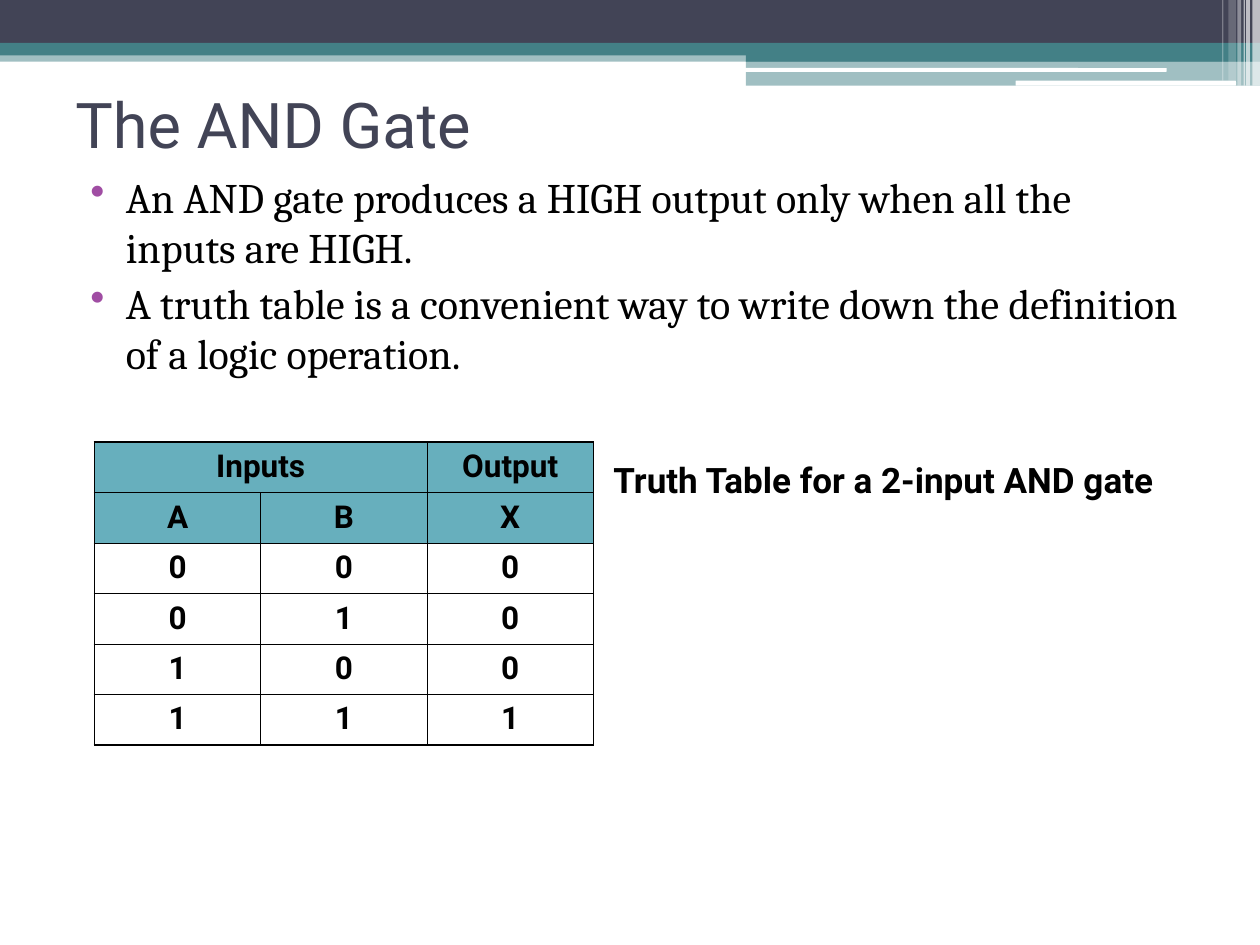
"""Build the AND gate slide with its truth table."""
from lxml.etree import SubElement
from pptx import Presentation
from pptx.dml.color import RGBColor
from pptx.enum.shapes import MSO_SHAPE as SHAPE
from pptx.enum.text import MSO_ANCHOR as ANCHOR, PP_ALIGN as ALIGN
from pptx.oxml import parse_xml
from pptx.oxml.ns import nsdecls, qn
from pptx.util import Inches, Pt

NAVY = RGBColor(0x42, 0x44, 0x56)
TEAL = RGBColor(0x43, 0x80, 0x86)
AQUA = RGBColor(0x67, 0xAF, 0xBD)
PURPLE = RGBColor(0xA0, 0x4D, 0xA3)
BLACK = RGBColor(0, 0, 0)
WHITE = RGBColor(0xFF, 0xFF, 0xFF)

prs = Presentation()
prs.slide_width, prs.slide_height = Inches(10), Inches(7.5)
COL, ROW = prs.slide_width / 100, prs.slide_height / 75
s = prs.slides.add_slide(prs.slide_layouts[6])


def grid(x, y, w, h):
    return int(x * COL), int(y * ROW), int(w * COL), int(h * ROW)


def write(box, lines, font, size, color, bold=False):
    tf = s.shapes.add_textbox(*grid(*box)).text_frame
    tf.word_wrap = True
    tf.text = "\n".join(lines)
    for p in tf.paragraphs:
        for r in p.runs:
            r.font.name, r.font.size, r.font.bold = font, Pt(size), bold
            r.font.color.rgb = color
    return tf


BANDS = [
    (SHAPE.RECTANGLE, (0, 4, 100, 0.9), TEAL, 50),
    (SHAPE.RECTANGLE, (0, 0, 100, 3.4), NAVY, 100),
    (SHAPE.RECTANGLE, (0, 3.4, 100, 1), TEAL, 100),
    (SHAPE.RECTANGLE, (59.2, 3.9, 40.8, 1), TEAL, 100),
    (SHAPE.RECTANGLE, (59.2, 4.8, 40.8, 2), TEAL, 50),
    (SHAPE.ROUNDED_RECTANGLE, (59.1, 5.4, 33.5, 0.3), WHITE, 100),
    (SHAPE.ROUNDED_RECTANGLE, (80.6, 6.4, 17.5, 0.4), WHITE, 100),
]
STRIPES = [(99.4, 0.6, 6.8, 65), (98.9, 0.3, 6.8, 65), (98.7, 0.1, 6.8, 60),
           (98.2, 0.3, 6.8, 40), (97.5, 0.6, 6.4, 20), (97, 0.1, 6.4, 30)]
BANDS += [(SHAPE.RECTANGLE, (x, 0, w, h), WHITE, alpha) for x, w, h, alpha in STRIPES]

for kind, box, color, alpha in BANDS:
    sp = s.shapes.add_shape(kind, *grid(*box))
    sp.shadow.inherit = False
    sp.line.fill.background()
    sp.fill.solid()
    sp.fill.fore_color.rgb = color
    if alpha < 100:
        rgb = sp.fill._xPr.find(".//" + qn("a:srgbClr"))
        SubElement(rgb, qn("a:alpha"), val=str(alpha * 1000))

tf = write((5, 3.9, 90, 11.7), ["The AND Gate"], "Roboto", 36, NAVY)
tf.vertical_anchor = ANCHOR.MIDDLE

tf = write((5, 13.1, 90, 22.8), [
    "An AND gate produces a HIGH output only when all the inputs are HIGH.",
    "A truth table is a convenient way to write down the definition of a logic operation.",
], "Cambria", 24, BLACK)
for i, p in enumerate(tf.paragraphs):
    pPr = p._p.get_or_add_pPr()
    pPr.set("marL", str(int(4 * COL)))
    pPr.set("indent", str(int(-2.8 * COL)))
    SubElement(SubElement(pPr, qn("a:buClr")), qn("a:srgbClr"), val=str(PURPLE))
    SubElement(pPr, qn("a:buChar"), char="•")
    if i:
        p.space_before = Pt(3)

TRUTH = [("Inputs", "", "Output"), ("A", "B", "X")]
TRUTH += [(str(a), str(b), str(a & b)) for a in (0, 1) for b in (0, 1)]
n_rows, n_cols = len(TRUTH), len(TRUTH[0])
table = s.shapes.add_table(n_rows, n_cols, *grid(7.5, 35.1, 39.6, 24)).table
table.first_row = table.horz_banding = False
table.cell(0, 0).merge(table.cell(0, 1))

for i, values in enumerate(TRUTH):
    for j, value in enumerate(values):
        cell = table.cell(i, j)
        if i < 2:
            cell.fill.solid()
            cell.fill.fore_color.rgb = AQUA
        else:
            cell.fill.background()
        outer = {"L": j == 0, "R": j == n_cols - 1, "T": i == 0, "B": i == n_rows - 1}
        for k, (side, thick) in enumerate(outer.items()):
            width = Pt(1.08 if thick else 0.45)
            cell._tc.get_or_add_tcPr().insert(k, parse_xml(
                f'<a:ln{side} {nsdecls("a")} w="{width}"><a:solidFill>'
                f'<a:srgbClr val="{BLACK}"/></a:solidFill></a:ln{side}>'))
        if value:
            p = cell.text_frame.paragraphs[0]
            p.text = value
            p.alignment = ALIGN.CENTER
            font = p.runs[0].font
            font.name, font.size, font.bold = "Roboto", Pt(18), True
            font.color.rgb = BLACK

write((47.7, 35.9, 47.2, 7.7), ["Truth Table for a 2-input AND gate"],
      "Roboto", 20, BLACK, bold=True)

prs.save("out.pptx")
